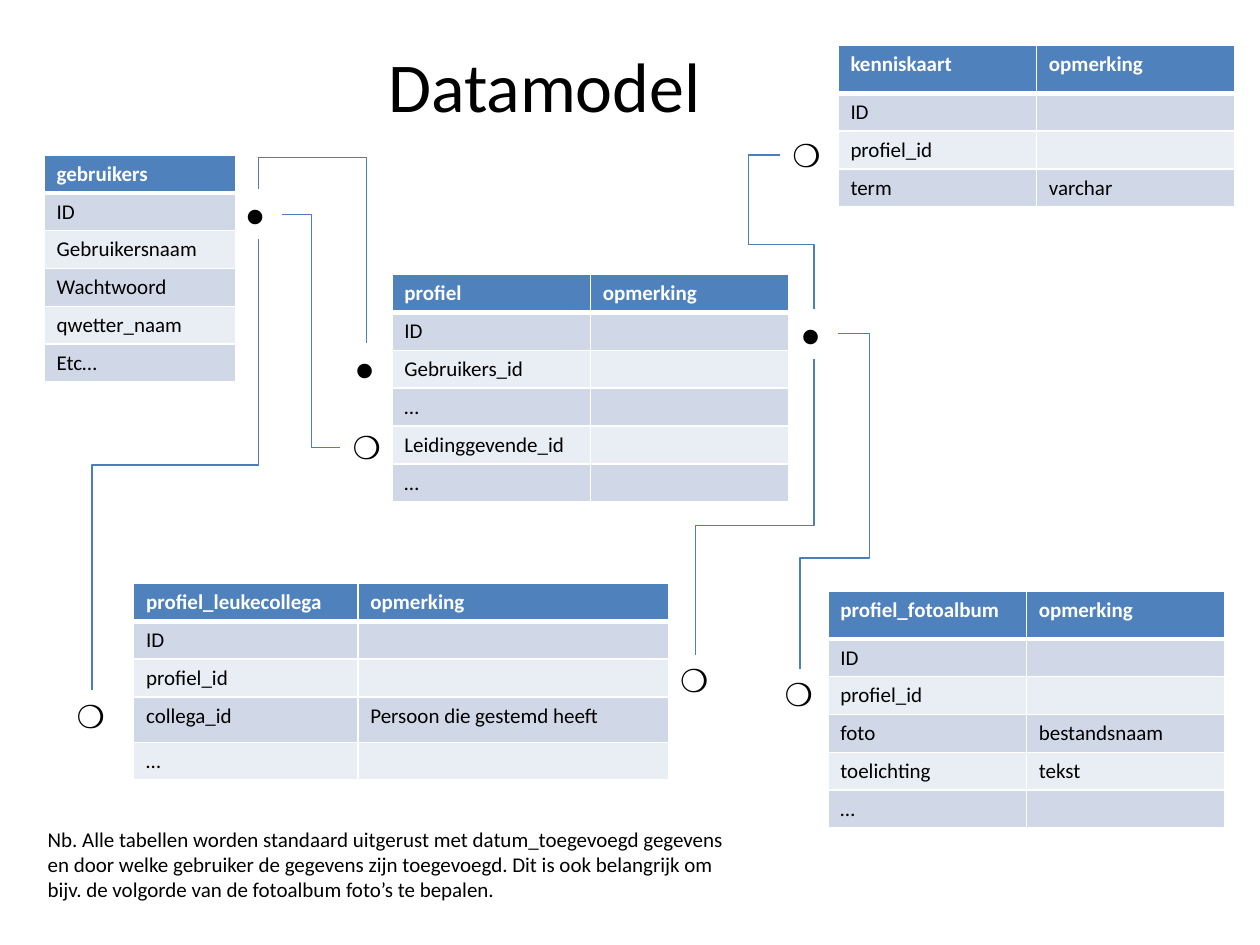
import pptx
import pptx.dml.color
import pptx.enum.shapes
import pptx.enum.text
import pptx.oxml
import pptx.oxml.ns
import pptx.util
from lxml import etree
from pptx.util import Inches

FONT = "Calibri"
BLACK, WHITE = "000000", "FFFFFF"
HEADER_FILL, BAND_FILLS = "4F81BD", ("D0D8E8", "E9EDF4")
LINE = "4B7EBC"
ROW_HEIGHT = 0.3

# left, top, column widths, exceptional row heights, rows
TABLES = [
    (0.35, 1.23, [1.52], {},
     [["gebruikers"], ["ID"], ["Gebruikersnaam"], ["Wachtwoord"],
      ["qwetter_naam"], ["Etc…"]]),
    (3.11, 2.18, [1.575, 1.575], {},
     [["profiel", "opmerking"], ["ID", ""], ["Gebruikers_id", ""],
      ["…", ""], ["Leidinggevende_id", ""], ["…", ""]]),
    (6.57, 4.69, [1.575, 1.575], {0: 0.38},
     [["profiel_fotoalbum", "opmerking"], ["ID", ""], ["profiel_id", ""],
      ["foto", "bestandsnaam"], ["toelichting", "tekst"], ["…", ""]]),
    (6.65, 0.36, [1.575, 1.575], {0: 0.38},
     [["kenniskaart", "opmerking"], ["ID", ""], ["profiel_id", ""],
      ["term", "varchar"]]),
    (1.06, 4.63, [1.78, 2.47], {3: 0.36},
     [["profiel_leukecollega", "opmerking"], ["ID", ""], ["profiel_id", ""],
      ["collega_id", "Persoon die gestemd heeft"], ["…", ""]]),
]

# symbol, width, wrap, positions
MARKERS = [
    ("●", 0.39, False, [(1.85, 1.5), (2.72, 2.72), (6.26, 2.45)]),
    ("❍", 0.44, True, [(2.7, 3.35), (6.13, 5.31), (6.19, 1.03),
                       (0.51, 5.48), (5.3, 5.2)]),
]

# corner points of each relation, from end to end
RELATIONS = [
    [(2.24, 1.7), (2.47, 1.7), (2.47, 3.55), (2.7, 3.55)],
    [(2.91, 2.72), (2.91, 1.25), (2.05, 1.25), (2.05, 1.5)],
    [(6.35, 5.31), (6.35, 4.43), (6.9, 4.43), (6.9, 2.65), (6.65, 2.65)],
    [(6.19, 1.23), (5.94, 1.23), (5.94, 1.94), (6.46, 1.94), (6.46, 2.45)],
    [(0.73, 5.48), (0.73, 3.69), (2.05, 3.69), (2.05, 1.9)],
    [(5.52, 5.2), (5.52, 4.17), (6.46, 4.17), (6.46, 2.85)],
]

NOTE = ("Nb. Alle tabellen worden standaard uitgerust met datum_toegevoegd "
        "gegevens en door welke gebruiker de gegevens zijn toegevoegd. Dit is "
        "ook belangrijk om bijv. de volgorde van de fotoalbum foto’s te bepalen.")


def rgb(value):
    return pptx.dml.color.RGBColor.from_string(value)


def add_element(parent, tag, **attributes):
    return etree.SubElement(parent, pptx.oxml.ns.qn(tag), attributes)


def write(frame, text, size, color=BLACK, bold=False):
    frame.text = text
    para = frame.paragraphs[0]
    if not text:
        # An empty cell would otherwise grow to the default text size.
        add_element(para._p, "a:endParaRPr", sz=str(size * 100))
    for span in para.runs:
        span.font.name = FONT
        span.font.size = pptx.util.Pt(size)
        span.font.bold = bold
        span.font.color.rgb = rgb(color)


def add_text(slide, place, text, size, wrap):
    box = slide.shapes.add_textbox(*map(Inches, place))
    write(box.text_frame, text, size)
    box.text_frame.word_wrap = wrap
    box.text_frame.auto_size = pptx.enum.text.MSO_AUTO_SIZE.SHAPE_TO_FIT_TEXT


def format_cell(cell, text, row):
    header = row == 0
    write(cell.text_frame, text, 12, WHITE if header else BLACK, header)
    properties = cell._tc.get_or_add_tcPr()
    for side in "LRTB":
        thick = header and side == "B" or row == 1 and side == "T"
        width = pptx.util.Pt(3 if thick else 1)
        border = add_element(properties, f"a:ln{side}", w=str(width))
        add_element(add_element(border, "a:solidFill"), "a:srgbClr", val=WHITE)
    cell.fill.solid()
    cell.fill.fore_color.rgb = rgb(HEADER_FILL if header else BAND_FILLS[(row - 1) % 2])


def add_entity(slide, left, top, widths, special_heights, rows):
    heights = [special_heights.get(i, ROW_HEIGHT) for i in range(len(rows))]
    table = slide.shapes.add_table(
        len(rows), len(widths), Inches(left), Inches(top),
        Inches(sum(widths)), Inches(sum(heights))).table
    for column, width in zip(table.columns, widths):
        column.width = Inches(width)
    for i, (height, texts) in enumerate(zip(heights, rows)):
        table.rows[i].height = Inches(height)
        for j, text in enumerate(texts):
            format_cell(table.cell(i, j), text, i)


def add_relation(slide, points):
    """Draw an elbow connector whose bends follow from its corner points."""
    start, end = points[0], points[-1]
    vertical = start[0] == points[1][0]
    axis = 1 if vertical else 0
    delta = [end[0] - start[0], end[1] - start[1]]
    along, across = delta[axis], delta[1 - axis]
    width, height = abs(along), abs(across)
    left = (start[0] + end[0] - width) / 2
    top = (start[1] + end[1] - height) / 2

    connector = slide.shapes.add_connector(
        pptx.enum.shapes.MSO_CONNECTOR.ELBOW, Inches(left), Inches(top),
        Inches(left + width), Inches(top + height))
    connector.line.color.rgb = rgb(LINE)
    connector.line.width = pptx.util.Pt(0.75)
    properties = connector._element.spPr
    add_element(properties, "a:effectLst")

    # A quarter turn makes the first leg vertical and mirrors the other axis.
    if vertical:
        properties.xfrm.set("rot", str(90 * 60000))
    if along < 0:
        properties.xfrm.set("flipH", "1")
    if (across > 0) if vertical else (across < 0):
        properties.xfrm.set("flipV", "1")

    bends = [(points[1][axis] - start[axis]) / along]
    if len(points) == 5:
        bends.append((points[2][1 - axis] - start[1 - axis]) / across)
    geometry = properties.find(pptx.oxml.ns.qn("a:prstGeom"))
    geometry.set("prst", f"bentConnector{len(points) - 1}")
    guides = geometry.find(pptx.oxml.ns.qn("a:avLst"))
    for number, bend in enumerate(bends, 1):
        add_element(guides, "a:gd", name=f"adj{number}",
                    fmla=f"val {round(bend * 100000)}")


def add_title(slide, text):
    title = slide.shapes.title
    title.left, title.top, title.width, title.height = map(
        Inches, (2.95, 0.29, 2.71, 0.77))
    frame = title.text_frame
    write(frame, text, 40)
    frame.word_wrap = False
    frame.auto_size = pptx.enum.text.MSO_AUTO_SIZE.SHAPE_TO_FIT_TEXT
    frame.vertical_anchor = pptx.enum.text.MSO_ANCHOR.TOP
    frame.paragraphs[0].alignment = pptx.enum.text.PP_ALIGN.RIGHT


def main():
    deck = pptx.Presentation()
    deck.slide_width, deck.slide_height = Inches(10), Inches(7.5)
    slide = deck.slides.add_slide(deck.slide_layouts[5])
    add_title(slide, "Datamodel")
    for entity in TABLES:
        add_entity(slide, *entity)
    for symbol, width, wrap, positions in MARKERS:
        for left, top in positions:
            add_text(slide, (left, top, width, 0.4), symbol, 18, wrap)
    for points in RELATIONS:
        add_relation(slide, points)
    add_text(slide, (0.28, 6.51, 5.59, 0.71), NOTE, 12, True)
    deck.save("out.pptx")


if __name__ == "__main__":
    main()
